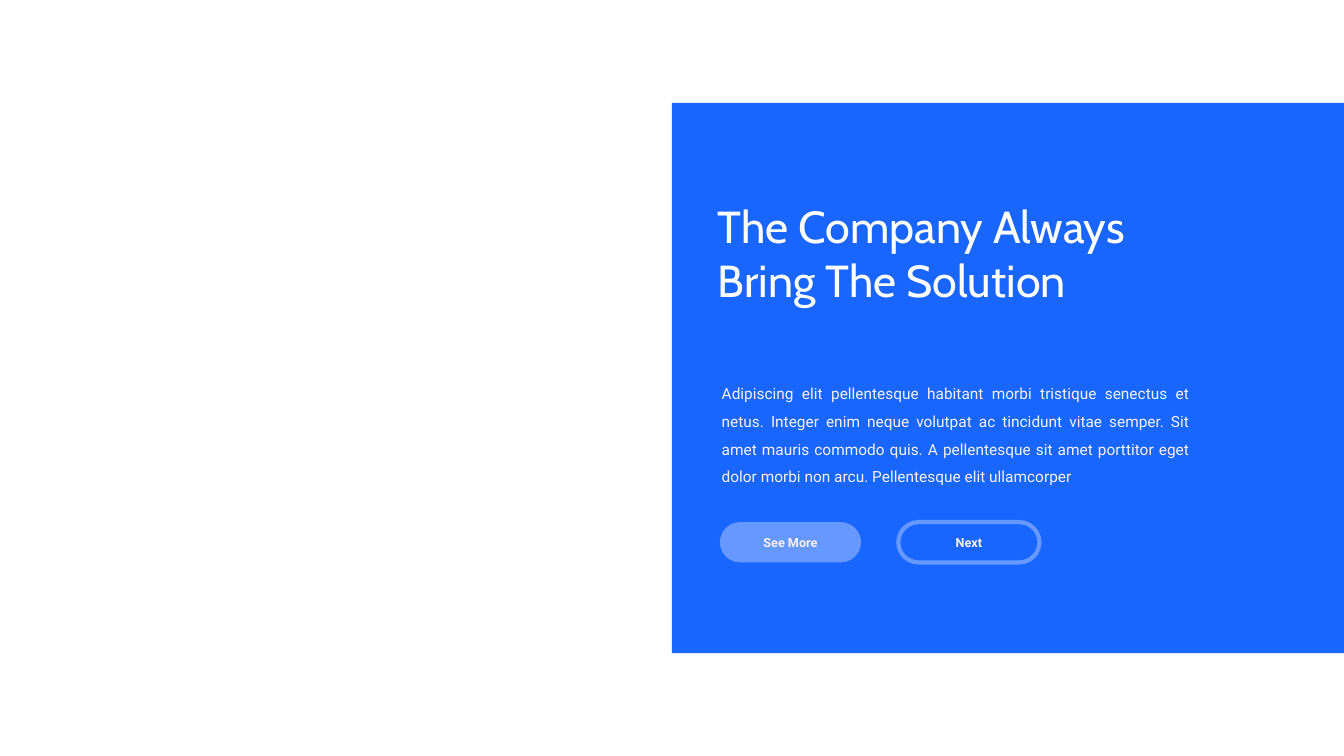
from dataclasses import dataclass

from pptx import Presentation
from pptx.dml.color import RGBColor
from pptx.enum.shapes import MSO_SHAPE
from pptx.enum.text import MSO_ANCHOR, MSO_AUTO_SIZE, PP_ALIGN
from pptx.shapes.autoshape import Shape
from pptx.slide import Slide
from pptx.util import Inches, Pt

RECTANGLE, PILL = MSO_SHAPE.RECTANGLE, MSO_SHAPE.ROUNDED_RECTANGLE
LEFT, CENTER, JUSTIFY = PP_ALIGN.LEFT, PP_ALIGN.CENTER, PP_ALIGN.JUSTIFY
MIDDLE = MSO_ANCHOR.MIDDLE
GROW = MSO_AUTO_SIZE.SHAPE_TO_FIT_TEXT


@dataclass(frozen=True)
class Theme:
    panel: str = "1966FF"
    button: str = "6699FF"
    title: str = "FFFFFF"
    body: str = "F2F2F2"
    label: str = "F7F0F0"
    title_font: str = "Cabin"
    body_font: str = "Roboto"
    title_size: int = 32
    body_size: int = 11
    label_size: int = 9
    outline_width: int = 3


@dataclass(frozen=True)
class Box:
    left: float
    top: float
    width: float
    height: float

    def lengths(self) -> tuple:
        return tuple(map(Inches, (self.left, self.top, self.width, self.height)))


@dataclass(frozen=True)
class TextStyle:
    font: str
    size: int
    color: str
    paragraph_format: dict
    bold: bool = False


@dataclass(frozen=True)
class TextBlock:
    text: str
    box: Box
    style: TextStyle


@dataclass(frozen=True)
class Button:
    label: str
    filled: bool


THEME = Theme()
SLIDE_WIDTH, SLIDE_HEIGHT = 13.33, 7.5
PANEL = Box(SLIDE_WIDTH / 2, 1.02, SLIDE_WIDTH / 2, 5.46)

TITLE_STYLE = TextStyle(THEME.title_font, THEME.title_size, THEME.title,
                        {"alignment": LEFT, "space_after": Pt(8)})
BODY_STYLE = TextStyle(THEME.body_font, THEME.body_size, THEME.body,
                       {"alignment": JUSTIFY, "line_spacing": 1.5,
                        "space_before": Pt(18), "space_after": Pt(18)})
LABEL_STYLE = TextStyle(THEME.body_font, THEME.label_size, THEME.label,
                        {"alignment": CENTER}, bold=True)

TEXT_BLOCKS = (
    TextBlock("The Company Always Bring The Solution",
              Box(7.02, 1.92, 4.48, 1.18), TITLE_STYLE),
    TextBlock("Adipiscing elit pellentesque habitant morbi tristique senectus et "
              "netus. Integer enim neque volutpat ac tincidunt vitae semper. Sit "
              "amet mauris commodo quis. A pellentesque sit amet porttitor eget "
              "dolor morbi non arcu. Pellentesque elit ullamcorper",
              Box(7.06, 3.67, 4.84, 1.18), BODY_STYLE),
)

BUTTONS = (Button("See More", True), Button("Next", False))
FIRST_BUTTON = Box(7.14, 5.18, 1.4, 0.4)
BUTTON_STEP = 1.77


def write_text(shape: Shape, text: str, style: TextStyle, frame_format: dict) -> None:
    """Set one styled paragraph in a shape."""
    frame = shape.text_frame
    paragraph = frame.paragraphs[0]
    run = paragraph.add_run()
    run.text = text
    run.font.color.rgb = RGBColor.from_string(style.color)
    font_format = {"name": style.font, "size": Pt(style.size), "bold": style.bold}
    for target, values in ((frame, frame_format),
                           (paragraph, style.paragraph_format),
                           (run.font, font_format)):
        for name, value in values.items():
            setattr(target, name, value)


def add_filled_shape(slide: Slide, kind: MSO_SHAPE, box: Box, color: str) -> Shape:
    """Add a flat shape with a solid fill and no line."""
    shape = slide.shapes.add_shape(kind, *box.lengths())
    shape.shadow.inherit = False
    shape.fill.solid()
    shape.fill.fore_color.rgb = RGBColor.from_string(color)
    shape.line.fill.background()
    return shape


def add_text_block(slide: Slide, block: TextBlock) -> None:
    shape = slide.shapes.add_textbox(*block.box.lengths())
    write_text(shape, block.text, block.style, {"word_wrap": True, "auto_size": GROW})


def add_button(slide: Slide, button: Button, box: Box) -> None:
    shape = add_filled_shape(slide, PILL, box, THEME.button)
    shape.adjustments[0] = 0.5
    if not button.filled:
        shape.fill.background()
        shape.line.color.rgb = RGBColor.from_string(THEME.button)
        shape.line.width = Pt(THEME.outline_width)
    write_text(shape, button.label, LABEL_STYLE, {"vertical_anchor": MIDDLE})


def main() -> None:
    presentation = Presentation()
    presentation.slide_width = Inches(SLIDE_WIDTH)
    presentation.slide_height = Inches(SLIDE_HEIGHT)
    slide = presentation.slides.add_slide(presentation.slide_layouts[6])

    # Blue panel on the right half
    add_filled_shape(slide, RECTANGLE, PANEL, THEME.panel)

    # Title and body text
    for block in TEXT_BLOCKS:
        add_text_block(slide, block)

    # Row of buttons
    for index, button in enumerate(BUTTONS):
        left = FIRST_BUTTON.left + index * BUTTON_STEP
        add_button(slide, button, Box(left, FIRST_BUTTON.top,
                                      FIRST_BUTTON.width, FIRST_BUTTON.height))

    presentation.save("out.pptx")


if __name__ == "__main__":
    main()
